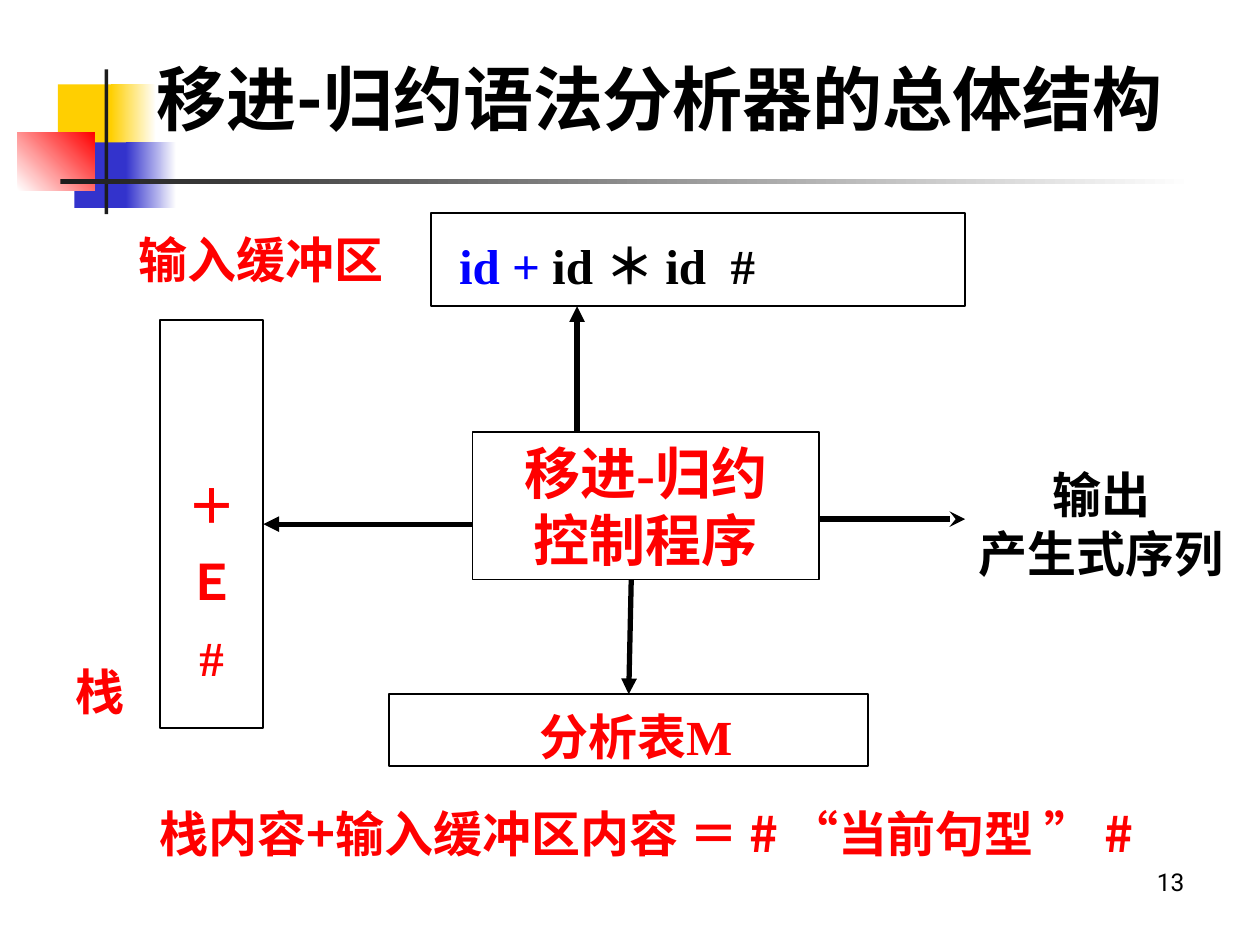
from lxml import etree
from pptx import Presentation
from pptx.dml.color import RGBColor
from pptx.enum.shapes import MSO_CONNECTOR, MSO_SHAPE
from pptx.enum.text import MSO_ANCHOR, MSO_AUTO_SIZE, PP_ALIGN
from pptx.oxml.ns import qn
from pptx.util import Inches, Pt

RECTANGLE = MSO_SHAPE.RECTANGLE
STRAIGHT = MSO_CONNECTOR.STRAIGHT
TOP, MIDDLE = MSO_ANCHOR.TOP, MSO_ANCHOR.MIDDLE
LEFT, CENTER, RIGHT = PP_ALIGN.LEFT, PP_ALIGN.CENTER, PP_ALIGN.RIGHT
NO_FIT = MSO_AUTO_SIZE.NONE
SIDE_TOP, SIDE_RIGHT = 0, 3

BLACK = RGBColor(0, 0, 0)
WHITE = RGBColor(255, 255, 255)
RED = RGBColor(255, 0, 0)
BLUE = RGBColor(0, 0, 255)
YELLOW = RGBColor(0xFF, 0xCF, 0x01)
INDIGO = RGBColor(0x33, 0x33, 0xCC)
CHARCOAL = RGBColor(0x1C, 0x1C, 0x1C)

SERIF = "Times New Roman"
SANS = "Roboto"
CJK = "Noto Sans CJK SC"


class SlideBuilder:
    def __init__(self, slide):
        self.slide = slide
        self.shapes = slide.shapes

    def fill_text(self, shape, paragraphs, align=LEFT, anchor=TOP, wrap=True,
                  spacing=None, top_inset=0.05):
        frame = shape.text_frame
        frame_format = {
            "auto_size": NO_FIT, "word_wrap": wrap, "vertical_anchor": anchor,
            "margin_left": Inches(0.1), "margin_right": Inches(0.1),
            "margin_top": Inches(top_inset), "margin_bottom": Inches(0.05),
        }
        for name, value in frame_format.items():
            setattr(frame, name, value)
        for index, runs in enumerate(paragraphs):
            paragraph = frame.add_paragraph() if index else frame.paragraphs[0]
            paragraph.alignment = align
            if spacing:
                paragraph.line_spacing = spacing
            for run_style in runs:
                self.add_run(paragraph, *run_style)

    def add_run(self, paragraph, text, color=RED, size=28, font=SERIF, bold=True):
        run = paragraph.add_run()
        run.text = text
        font_format = {"size": Pt(size), "bold": bold, "name": font}
        for name, value in font_format.items():
            setattr(run.font, name, value)
        run.font.color.rgb = color
        east_asian = etree.SubElement(run.font._element, qn("a:ea"))
        east_asian.set("typeface", CJK)

    def title(self, text, *bounds):
        heading = self.shapes.title
        for name, value in zip(("left", "top", "width", "height"), bounds):
            setattr(heading, name, Inches(value))
        self.fill_text(heading, [[(text, BLACK, 40, SANS)]], anchor=MIDDLE)

    def rectangle(self, bounds):
        shape = self.shapes.add_shape(RECTANGLE, *map(Inches, bounds))
        shape.shadow.inherit = False
        return shape

    def ornament(self, bounds, start, end=None, angle=0):
        block = self.rectangle(bounds)
        block.line.fill.background()
        if end is None:
            block.fill.solid()
            block.fill.fore_color.rgb = start
            return
        block.fill.gradient()
        block.fill.gradient_angle = angle
        for stop, color in zip(block.fill.gradient_stops, (start, end)):
            stop.color.rgb = color

    def box(self, bounds, paragraphs, **layout):
        frame = self.rectangle(bounds)
        frame.fill.background()
        frame.line.color.rgb = BLACK
        frame.line.width = Pt(1)
        self.fill_text(frame, paragraphs, anchor=MIDDLE, wrap=False, **layout)
        return frame

    def label(self, bounds, paragraphs, **layout):
        text_box = self.shapes.add_textbox(*map(Inches, bounds))
        self.fill_text(text_box, paragraphs, **layout)

    def arrow(self, start, end, head="triangle", target=None, side=None):
        link = self.shapes.add_connector(STRAIGHT, *map(Inches, start + end))
        link.line.color.rgb = BLACK
        link.line.width = Pt(3)
        if target is not None:
            link.end_connect(target, side)
        properties = link._element.spPr
        outline = properties.find(qn("a:ln"))
        etree.SubElement(outline, qn("a:tailEnd")).set("type", head)
        etree.SubElement(properties, qn("a:effectLst"))


def main():
    deck = Presentation()
    deck.slide_width, deck.slide_height = Inches(10), Inches(7.5)
    builder = SlideBuilder(deck.slides.add_slide(deck.slide_layouts[5]))

    ornaments = [
        ((0.46, 0.67, 0.48, 0.52), YELLOW),
        ((0.88, 0.67, 0.36, 0.52), YELLOW, WHITE),
        ((0.59, 1.13, 0.46, 0.52), INDIGO),
        ((1, 1.13, 0.4, 0.52), INDIGO, WHITE),
        ((0.14, 1.05, 0.61, 0.46), WHITE, RED, 45),
        ((0.83, 0.55, 0.03, 1.15), CHARCOAL),
        ((0.48, 1.42, 9, 0.04), CHARCOAL, WHITE),
    ]
    for ornament in ornaments:
        builder.ornament(*ornament)

    builder.title("移进-归约语法分析器的总体结构", 1.14, 0.39, 8.5, 0.76)
    builder.label((7.17, 6.83, 2.33, 0.52), [[("13", BLACK, 14, SANS, False)]],
                  align=RIGHT)

    builder.box((3.42, 1.69, 4.24, 0.74),
                [[(" ", BLUE, 36), ("id + ", BLUE), ("id ＊ id  #", BLACK)]])
    stack = builder.box((1.27, 2.54, 0.82, 3.24), [[(symbol,)] for symbol in "＋Ｅ#"],
                        align=CENTER, spacing=1.3, top_inset=0.81)
    builder.box((3.75, 3.43, 2.75, 1.17),
                [[(line, RED, 32)] for line in ("移进-归约", "控制程序")],
                align=CENTER)
    parse_table = builder.box((3.09, 5.51, 3.8, 0.57),
                              [[(" ", INDIGO, 36), ("分析表M",)]], align=CENTER)

    builder.arrow((4.58, 3.43), (4.58, 2.43))
    builder.arrow((6.5, 4.12), (7.66, 4.12), head="stealth")
    builder.arrow((5.01, 4.6), (4.99, 5.51), target=parse_table, side=SIDE_TOP)
    builder.arrow((3.75, 4.16), (2.09, 4.16), target=stack, side=SIDE_RIGHT)

    builder.label((7.6, 3.64, 2.28, 1.04),
                  [[(line, BLACK)] for line in ("输出", "产生式序列")], align=CENTER)
    builder.label((0.5, 5.2, 0.59, 0.57), [[("栈",)]], wrap=False)
    builder.label((1, 1.66, 2.25, 0.7),
                  [[("输入缓冲区",), (" ", CHARCOAL, 36, SERIF, False)]], wrap=False)
    builder.label((1.17, 6.33, 8.25, 1.04), [[
        ("栈内容+输入缓冲区内容 ＝ # ", RED, 28, CJK), ("“",),
        ("当前句型 ", RED, 28, CJK), ("” ",), ("#", RED, 28, CJK),
    ]])

    deck.save("out.pptx")


if __name__ == "__main__":
    main()
